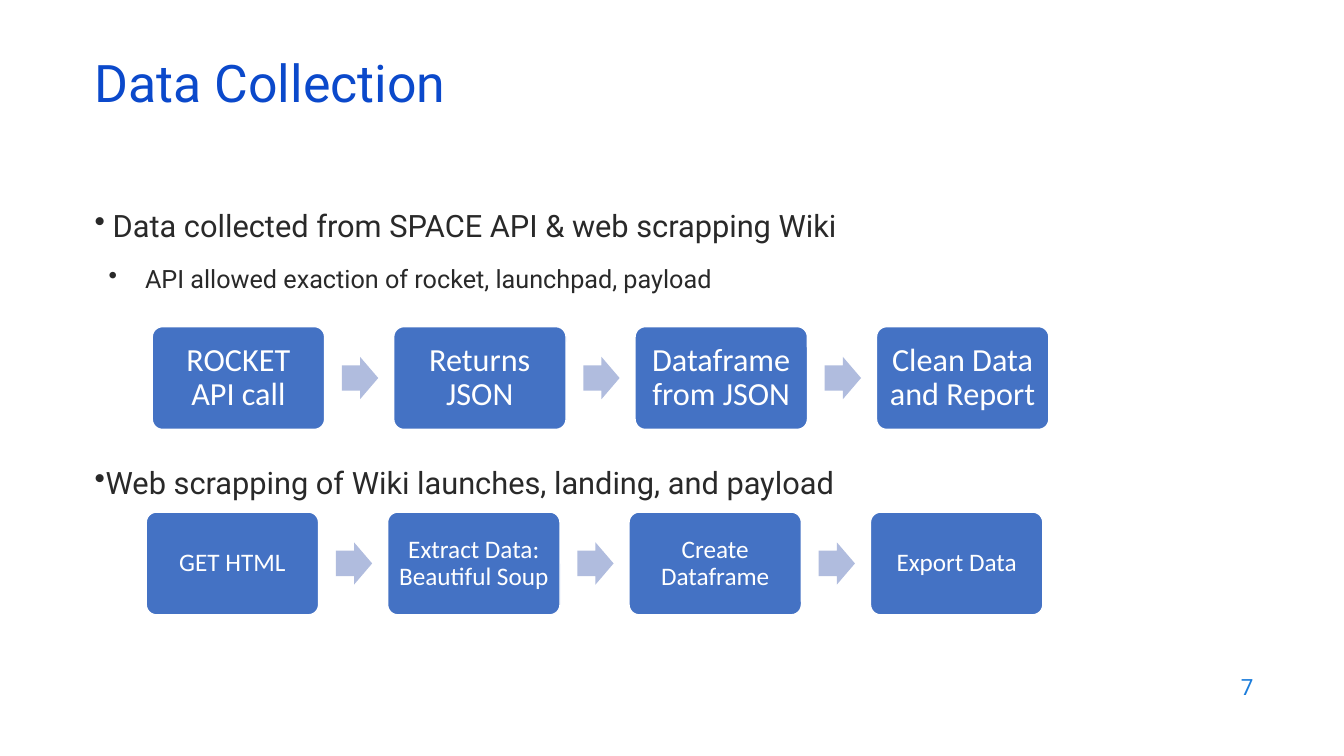
from dataclasses import dataclass

import pptx
import pptx.dml.color
import pptx.enum.shapes
import pptx.enum.text
import pptx.oxml.ns
import pptx.util
from lxml import etree

ALIGN = pptx.enum.text.PP_ALIGN
ANCHOR = pptx.enum.text.MSO_ANCHOR
SHAPE = pptx.enum.shapes.MSO_SHAPE
WIDTH, HEIGHT = pptx.util.Inches(13.33), pptx.util.Inches(7.5)
COL, ROW = WIDTH / 100, HEIGHT / 100


@dataclass(frozen=True)
class Theme:
    heading: str = "0B49CB"
    text: str = "292929"
    number: str = "1C7DDB"
    step: str = "4472C4"
    arrow: str = "B0BCDE"
    white: str = "FFFFFF"
    text_font: str = "Roboto"
    step_font: str = "Calibri"
    heading_size: int = 37
    bullet_size: int = 22
    detail_size: int = 18
    number_size: int = 16


@dataclass(frozen=True)
class Area:
    col: float
    row: float
    cols: float
    rows: float

    def box(self) -> tuple[int, int, int, int]:
        return (round(self.col * COL), round(self.row * ROW),
                round(self.cols * COL), round(self.rows * ROW))


@dataclass(frozen=True)
class Bullet:
    text: str
    size: int
    margin: float
    hanging: float
    level: int = 0


@dataclass(frozen=True)
class Flow:
    col: float
    row: float
    size: int
    inset: float
    steps: tuple[str, ...]


THEME = Theme()
STEP_COLS, STEP_ROWS = 12.83, 13.6
ARROW_COLS, ARROW_ROWS = 2.7, 5.6
TITLE = Area(6.3, 7.87, 86.27, 8)
NUMBER = Area(71.49, 87.87, 22.5, 5.87)

BULLETS = (
    (Area(6.3, 26.67, 86.27, 13.33), (
        Bullet("Data collected from SPACE API & web scrapping Wiki",
               THEME.bullet_size, 0.18, 0.18),
        Bullet("API allowed exaction of rocket, launchpad, payload",
               THEME.detail_size, 0.5, 0.36, 1),
    )),
    (Area(6.3, 60.67, 86.27, 6), (
        Bullet("Web scrapping of Wiki launches, landing, and payload",
               THEME.bullet_size, 0.11, 0.11),
    )),
)
FLOWS = (
    Flow(11.33, 43.2, 23, 0.09,
         ("ROCKET API call", "Returns JSON", "Dataframe from JSON",
          "Clean Data and Report")),
    Flow(10.88, 67.73, 18, 0.06,
         ("GET HTML", "Extract Data: Beautiful Soup", "Create Dataframe",
          "Export Data")),
)


def rgb(value: str) -> pptx.dml.color.RGBColor:
    return pptx.dml.color.RGBColor.from_string(value)


def style(p, font: str, size: int, color: str) -> None:
    for r in p.runs:
        r.font.name = font
        r.font.size = pptx.util.Pt(size)
        r.font.color.rgb = rgb(color)


def add_title(slide, text: str) -> None:
    sp = slide.shapes.title
    sp.left, sp.top, sp.width, sp.height = TITLE.box()
    tf = sp.text_frame
    tf.text = text
    tf.word_wrap = True
    tf.vertical_anchor = ANCHOR.MIDDLE
    p = tf.paragraphs[0]
    p.alignment = ALIGN.LEFT
    p.line_spacing = 0.7
    style(p, THEME.text_font, THEME.heading_size, THEME.heading)


def add_bullets(slide, area: Area, bullets: tuple[Bullet, ...]) -> None:
    tf = slide.shapes.add_textbox(*area.box()).text_frame
    tf.word_wrap = True
    for i, bullet in enumerate(bullets):
        p = tf.add_paragraph() if i else tf.paragraphs[0]
        p.text = bullet.text
        p.level = bullet.level
        if i:
            p.space_before = pptx.util.Pt(14)
        props = p._p.get_or_add_pPr()
        props.set("marL", str(pptx.util.Inches(bullet.margin)))
        props.set("indent", str(-pptx.util.Inches(bullet.hanging)))
        mark = etree.SubElement(props, pptx.oxml.ns.qn("a:buChar"))
        mark.set("char", "•")
        style(p, THEME.text_font, bullet.size, THEME.text)


def add_block(shapes, kind, area: Area, fill: str):
    sp = shapes.add_shape(kind, *area.box())
    sp.shadow.inherit = False
    sp.fill.solid()
    sp.fill.fore_color.rgb = rgb(fill)
    return sp


def add_step(shapes, area: Area, flow: Flow, text: str) -> None:
    sp = add_block(shapes, SHAPE.ROUNDED_RECTANGLE, area, THEME.step)
    sp.adjustments[0] = 0.1
    sp.line.color.rgb = rgb(THEME.white)
    sp.line.width = pptx.util.Pt(1)
    tf = sp.text_frame
    tf.text = text
    tf.word_wrap = True
    tf.vertical_anchor = ANCHOR.MIDDLE
    inset = pptx.util.Inches(flow.inset)
    tf.margin_left = tf.margin_right = tf.margin_top = tf.margin_bottom = inset
    p = tf.paragraphs[0]
    p.alignment = ALIGN.CENTER
    p.line_spacing = 0.9
    style(p, THEME.step_font, flow.size, THEME.white)


def add_arrow(shapes, area: Area) -> None:
    sp = add_block(shapes, SHAPE.RIGHT_ARROW, area, THEME.arrow)
    sp.adjustments[0] = 0.6
    sp.adjustments[1] = 0.5
    sp.line.fill.background()


def add_flow(slide, flow: Flow) -> None:
    shapes = slide.shapes.add_group_shape().shapes
    for i, text in enumerate(flow.steps):
        col = flow.col + i * 1.4 * STEP_COLS
        add_step(shapes, Area(col, flow.row, STEP_COLS, STEP_ROWS), flow, text)
        if i < len(flow.steps) - 1:
            add_arrow(shapes, Area(col + 1.1 * STEP_COLS,
                                   flow.row + (STEP_ROWS - ARROW_ROWS) / 2,
                                   ARROW_COLS, ARROW_ROWS))


def add_number(slide, text: str) -> None:
    tf = slide.shapes.add_textbox(*NUMBER.box()).text_frame
    tf.text = text
    tf.word_wrap = True
    tf.vertical_anchor = ANCHOR.MIDDLE
    p = tf.paragraphs[0]
    p.alignment = ALIGN.RIGHT
    style(p, THEME.text_font, THEME.number_size, THEME.number)


def main() -> None:
    prs = pptx.Presentation()
    prs.slide_width, prs.slide_height = WIDTH, HEIGHT
    slide = prs.slides.add_slide(prs.slide_layouts[5])
    add_title(slide, "Data Collection")
    for area, bullets in BULLETS:
        add_bullets(slide, area, bullets)
    for flow in FLOWS:
        add_flow(slide, flow)
    add_number(slide, "7")
    prs.save("out.pptx")


if __name__ == "__main__":
    main()
